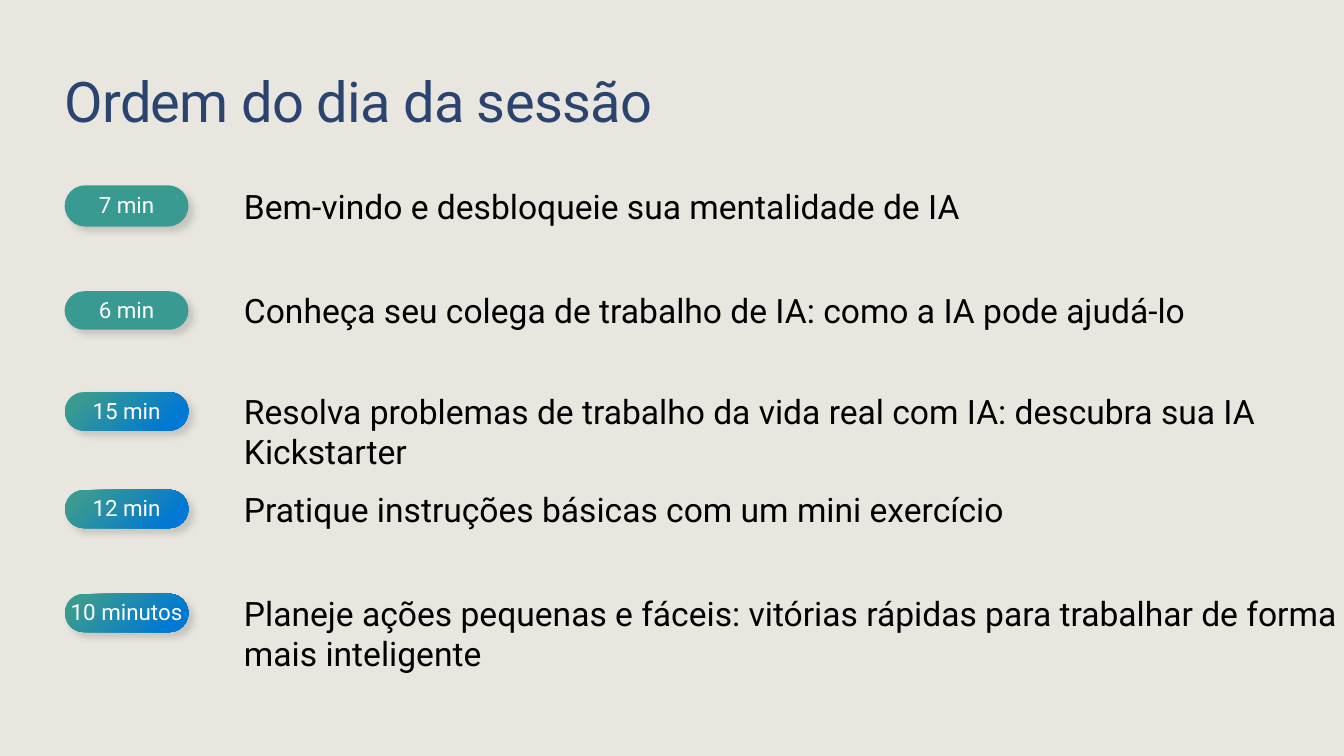
from lxml.etree import SubElement
from pptx import Presentation
from pptx.dml.color import RGBColor
from pptx.enum.shapes import MSO_SHAPE
from pptx.enum.text import MSO_ANCHOR, PP_ALIGN
from pptx.oxml import parse_xml
from pptx.oxml.ns import nsdecls, qn
from pptx.util import Cm, Pt

COLORS = {
    "back": "E8E6DF",
    "title": "2A446F",
    "text": "000000",
    "white": "FFFFFF",
    "teal": "399A91",
    "blue": "0078D4",
    "shade": "454142",
}
LEFT, PILL_W, PILL_H, TEXT_X = 1.63, 3.12, 0.97, 6.15

# top, pill height, two-tone pill, time, topic, topic width (cm)
ROWS = [
    (4.67, 1.04, False, "7 min",
     "Bem-vindo e desbloqueie sua mentalidade de IA", 25.04),
    (7.34, PILL_H, False, "6 min",
     "Conheça seu colega de trabalho de IA: como a IA pode ajudá-lo", 25.04),
    (9.88, PILL_H, True, "15 min",
     "Resolva problemas de trabalho da vida real com IA: "
     "descubra sua IA Kickstarter", 27.25),
    (12.34, PILL_H, True, "12 min",
     "Pratique instruções básicas com um mini exercício", 29.44),
    (14.96, PILL_H, True, "10 minutos",
     "Planeje ações pequenas e fáceis: vitórias rápidas para trabalhar "
     "de forma mais inteligente", 29.44),
]


def color(name):
    return RGBColor.from_string(COLORS[name])


def write(shape, text, size, tint="text", align=PP_ALIGN.LEFT,
          anchor=MSO_ANCHOR.TOP, bottom=0, line=None, track=None):
    """Put one formatted paragraph in the shape."""
    frame = shape.text_frame
    frame.word_wrap = True
    frame.vertical_anchor = anchor
    frame.margin_left = frame.margin_right = frame.margin_top = 0
    frame.margin_bottom = Cm(bottom)
    para = frame.paragraphs[0]
    para.alignment = align
    if line:
        para.line_spacing = line
    run = para.add_run()
    run.text = text
    run.font.name = "Roboto"
    run.font.size = Pt(size)
    run.font.color.rgb = color(tint)
    if track:
        run.font._element.set("spc", str(round(track * 100)))


def blend(shape):
    """Fill the shape with a round gradient from its bottom right corner."""
    shape.fill.background()
    props = shape._element.spPr
    props.replace(props.find(qn("a:noFill")), parse_xml(
        f'<a:gradFill {nsdecls("a")} rotWithShape="1"><a:gsLst>'
        f'<a:gs pos="15000"><a:srgbClr val="{COLORS["blue"]}"/></a:gs>'
        f'<a:gs pos="85000"><a:srgbClr val="{COLORS["teal"]}"/></a:gs>'
        '</a:gsLst><a:path path="circle">'
        '<a:fillToRect l="100000" t="100000"/></a:path></a:gradFill>'))


def shade(shape):
    """Give the shape a soft shadow to the lower right."""
    shape.shadow.inherit = False
    effects = shape._element.spPr.find(qn("a:effectLst"))
    outer = SubElement(effects, qn("a:outerShdw"), blurRad=str(Pt(5)),
                       dist=str(Pt(5)), dir="2700000", algn="tl",
                       rotWithShape="0")
    tint = SubElement(outer, qn("a:srgbClr"), val=COLORS["shade"])
    SubElement(tint, qn("a:alpha"), val="20000")


def add_title(slide, left, top, width, height):
    box = slide.shapes.add_textbox(Cm(left), Cm(top), Cm(width), Cm(height))
    write(box, "Ordem do dia da sessão", 40, tint="title",
          anchor=MSO_ANCHOR.BOTTOM, line=0.9, track=-0.5)


def add_pill(slide, left, top, width, height, time, mixed):
    pill = slide.shapes.add_shape(MSO_SHAPE.ROUNDED_RECTANGLE, Cm(left),
                                  Cm(top), Cm(width), Cm(height))
    pill.adjustments[0] = 0.5
    if mixed:
        blend(pill)
    else:
        pill.fill.solid()
        pill.fill.fore_color.rgb = color("teal")
    pill.line.fill.background()
    shade(pill)
    write(pill, time, 16, tint="white", align=PP_ALIGN.CENTER,
          anchor=MSO_ANCHOR.MIDDLE, bottom=0.05)


def add_row(slide, top, height, mixed, time, topic, width):
    """Place a time pill with its topic centred beside it."""
    add_pill(slide, LEFT, top, PILL_W, height, time, mixed)
    y = top + (height - PILL_H) / 2 - 0.03
    box = slide.shapes.add_textbox(Cm(TEXT_X), Cm(y), Cm(width), Cm(PILL_H))
    write(box, topic, 24)


def main():
    deck = Presentation()
    deck.slide_width, deck.slide_height = Cm(33.87), Cm(19.05)
    slide = deck.slides.add_slide(deck.slide_layouts[6])
    slide.background.fill.solid()
    slide.background.fill.fore_color.rgb = color("back")
    add_title(slide, LEFT, 1.85, 30.61, 1.55)
    for row in ROWS:
        add_row(slide, *row)
    deck.save("out.pptx")


if __name__ == "__main__":
    main()
